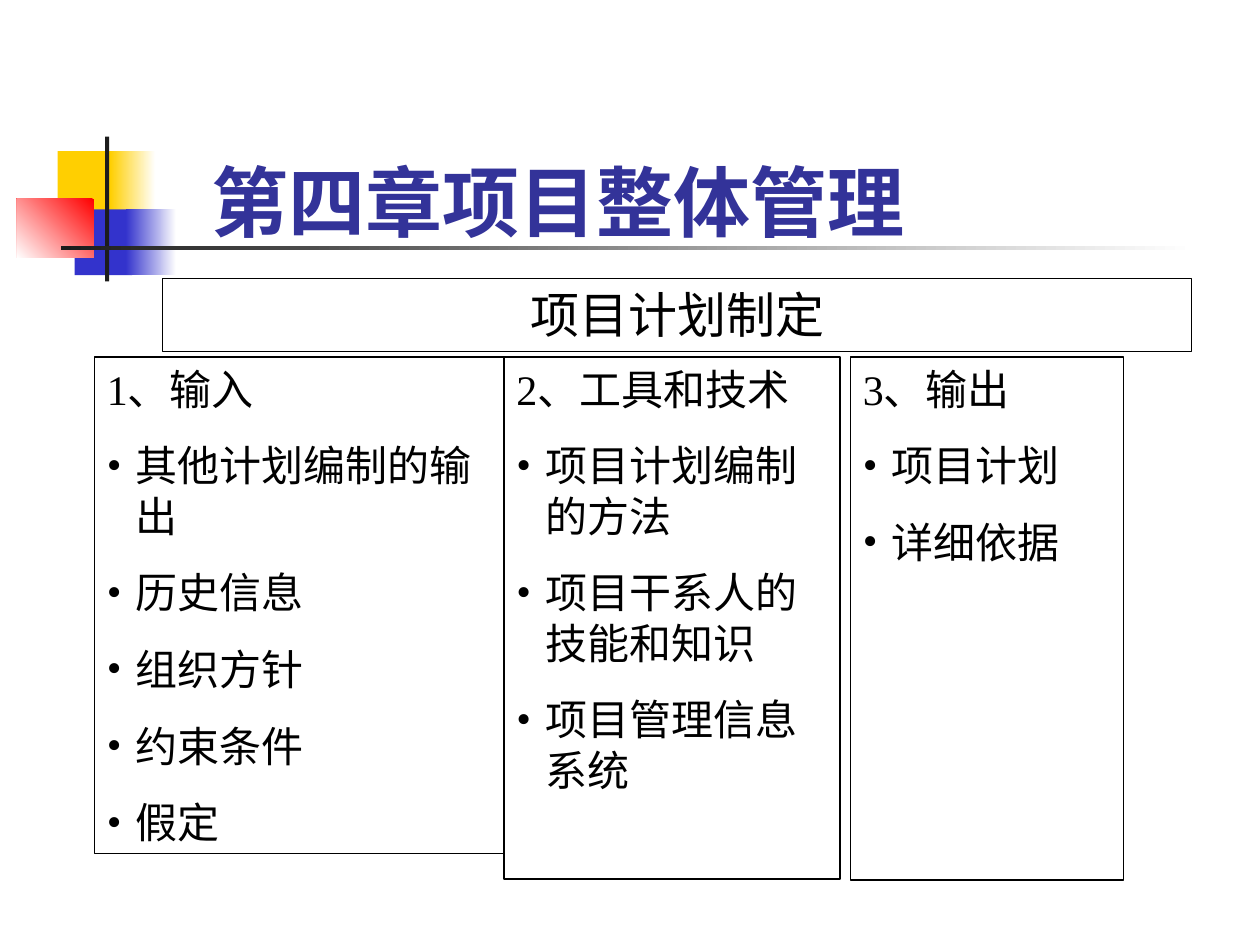
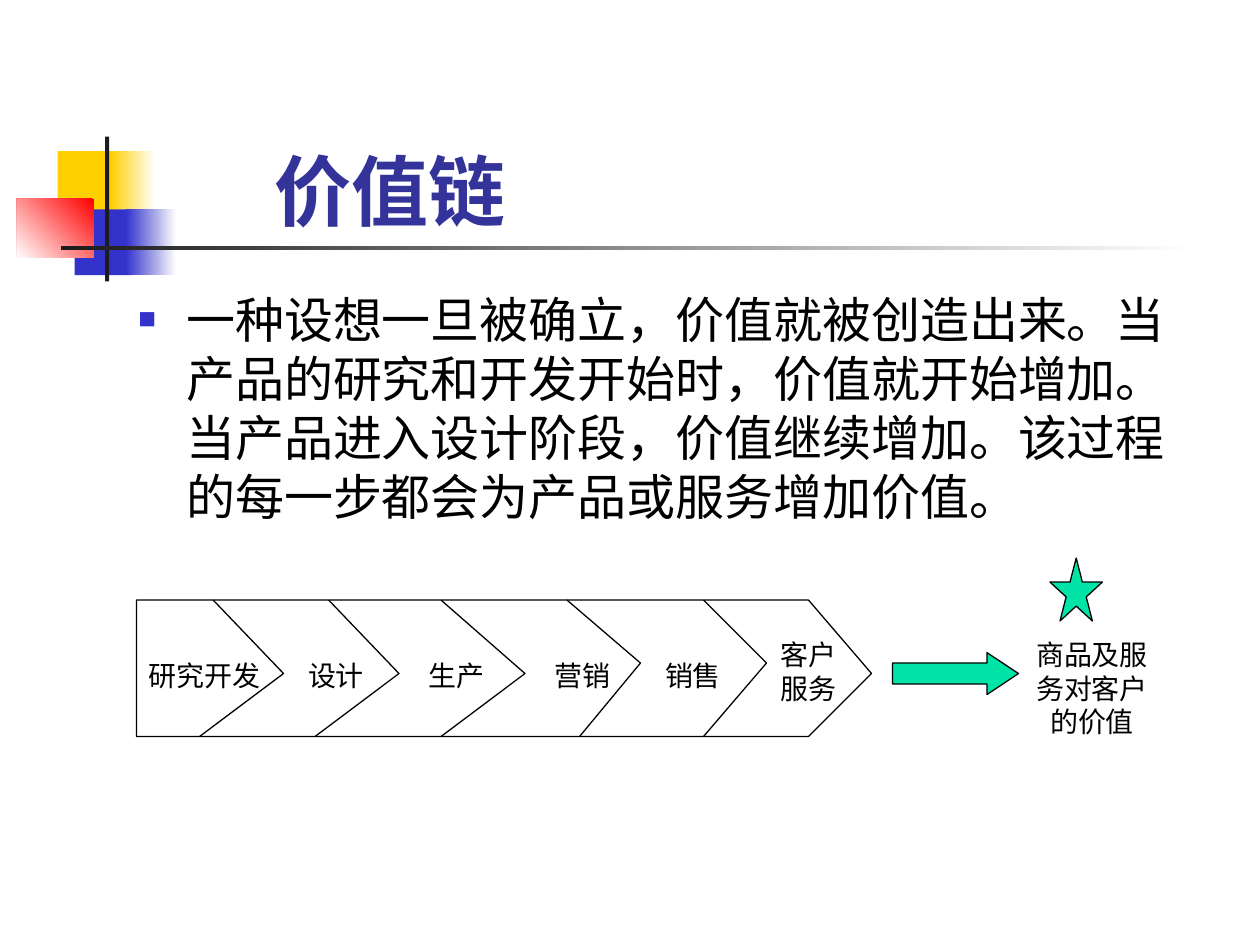
"""Build two slides on project integration management and the value chain."""
from lxml import etree
from pptx import Presentation
from pptx import util as u
from pptx.dml.color import RGBColor
from pptx.enum import lang, shapes, text
from pptx.oxml.ns import qn

C = {"black": "000000", "white": "FFFFFF", "ink": "1C1C1C", "title": "333399",
     "yellow": "FFCF01", "blue": "3333CC", "red": "FF0000", "green": "00E4A8"}
SANS, SERIF = "Roboto", "Times New Roman"
SHAPE = shapes.MSO_SHAPE
LEFT, CENTER = text.PP_ALIGN.LEFT, text.PP_ALIGN.CENTER

prs = Presentation()
prs.slide_width, prs.slide_height = u.Inches(10), u.Inches(7.5)
COL, ROW = prs.slide_width / 120, prs.slide_height / 90


def add_shape(s, kind, x, y, w, h, fill=None, fade=None, angle=0, line=None):
    """Add a preset shape placed in grid columns and rows."""
    sp = s.shapes.add_shape(kind, int(x * COL), int(y * ROW), int(w * COL), int(h * ROW))
    sp.shadow.inherit = False
    if fade:
        sp.fill.gradient()
        sp.fill.gradient_angle = angle
        for stop, name, pos in zip(sp.fill.gradient_stops, (fill, fade), (0, 1)):
            stop.color.rgb = RGBColor.from_string(C[name])
            stop.position = pos
    elif fill:
        sp.fill.solid()
        sp.fill.fore_color.rgb = RGBColor.from_string(C[fill])
    else:
        sp.fill.background()
    if line:
        sp.line.color.rgb = RGBColor.from_string(C["black"])
        sp.line.width = u.Pt(line)
    else:
        sp.line.fill.background()
    return sp


def add_text(s, lines, x, y, w, h, size=16, font=SERIF, color="black", bold=False,
             align=LEFT, anchor=text.MSO_ANCHOR.TOP, line=None, before=0,
             bullet=None, bullet_color="black", bullet_size=100, indent=0, first_bullet=0):
    """Add paragraphs in a box; bullets start at paragraph first_bullet."""
    if line:
        sp = add_shape(s, SHAPE.RECTANGLE, x, y, w, h, line=line)
    else:
        sp = s.shapes.add_textbox(int(x * COL), int(y * ROW), int(w * COL), int(h * ROW))
    tf = sp.text_frame
    tf.word_wrap = True
    tf.vertical_anchor = anchor
    for i, content in enumerate(lines):
        p = tf.paragraphs[0] if i == 0 else tf.add_paragraph()
        p.alignment = align
        if i:
            p.space_before = u.Pt(before)
        if bullet and i >= first_bullet:
            pPr = p._p.get_or_add_pPr()
            pPr.set("marL", str(u.Inches(indent)))
            pPr.set("indent", str(-u.Inches(indent)))
            clr = etree.SubElement(pPr, qn("a:buClr"))
            etree.SubElement(clr, qn("a:srgbClr"), val=C[bullet_color])
            etree.SubElement(pPr, qn("a:buSzPct"), val=str(bullet_size * 1000))
            etree.SubElement(pPr, qn("a:buFont"), typeface=SERIF)
            etree.SubElement(pPr, qn("a:buChar"), char=bullet)
        r = p.add_run()
        r.text = content
        r.font.size, r.font.name, r.font.bold = u.Pt(size), font, bold
        r.font.color.rgb = RGBColor.from_string(C[color])
        r.font.language_id = lang.MSO_LANGUAGE_ID.SIMPLIFIED_CHINESE
    return sp


ornaments = [
    (5.5, 14.4, 5.75, 6.25, "yellow", None, 0),
    (10.5, 14.4, 4.3, 6.25, "yellow", "white", 0),
    (7.1, 19.95, 5.5, 6.25, "blue", None, 0),
    (12, 19.95, 4.8, 6.25, "blue", "white", 0),
    (1.6, 18.95, 7.35, 5.6, "red", "white", 225),
    (10, 13, 0.4, 13.8, "ink", None, 0),
    (5.8, 23.4, 108, 0.4, "ink", "white", 0),
]
titles = [("第四章项目整体管理", 19, 13, 71.9, 11.1), ("价值链", 25, 14, 30.8, 9.1)]
slides = []
for title, *place in titles:
    s = prs.slides.add_slide(prs.slide_layouts[6])
    for x, y, w, h, fill, fade, angle in ornaments:
        add_shape(s, SHAPE.RECTANGLE, x, y, w, h, fill, fade, angle)
    add_text(s, [title], *place, size=44, font=SANS, color="title", bold=True,
             anchor=text.MSO_ANCHOR.BOTTOM)
    slides.append(s)
plan, chain = slides

add_text(plan, ["项目计划制定"], 15.5, 26.5, 98, 7, size=28, font=SANS, align=CENTER, line=0.75)
columns = [
    (9, 39, 47.3, ["1、输入", "其他计划编制的输出", "历史信息", "组织方针", "约束条件", "假定"]),
    (48, 32, 49.7, ["2、工具和技术", "项目计划编制的方法", "项目干系人的技能和知识",
                    "项目管理信息系统"]),
    (81, 26, 49.8, ["3、输出", "项目计划", "详细依据"]),
]
for x, w, h, lines in columns:
    add_text(plan, lines, x, 34, w, h, size=24, line=1, before=15,
             bullet="•", indent=0.23, first_bullet=1)

add_text(chain, ["一种设想一旦被确立，价值就被创造出来。当产品的研究和开发开始时，价值就开始增加。"
                 "当产品进入设计阶段，价值继续增加。该过程的每一步都会为产品或服务增加价值。"],
         12, 27, 102, 54, size=28, font=SANS, bullet="■", bullet_color="blue",
         bullet_size=60, indent=0.38)

TOP, BOTTOM, TIP, HIGH_TIP = 57.15, 70.15, 64.15, 63.15
outlines = [
    ([(77, TOP), (13, TOP), (13, BOTTOM), (77, BOTTOM), (83, TIP)], True),
    ([(20.3, TOP), (27, TIP), (19, BOTTOM)], False),
    ([(31.3, TOP), (38, TIP), (30, BOTTOM)], False),
    ([(42, TOP), (50, TIP), (42, BOTTOM)], False),
    ([(54, TOP), (61, HIGH_TIP), (55.2, BOTTOM)], False),
    ([(67, TOP), (73, HIGH_TIP), (67, BOTTOM)], False),
]
for points, close in outlines:
    emu = [(int(x * COL), int(y * ROW)) for x, y in points]
    fb = chain.shapes.build_freeform(*emu[0])
    fb.add_line_segments(emu[1:], close=close)
    sp = fb.convert_to_shape()
    sp.shadow.inherit = False
    sp.fill.background()
    sp.line.color.rgb = RGBColor.from_string(C["black"])
    sp.line.width = u.Pt(0.75)

labels = [
    ("研究开发", 12, 62.15, 15, 4.4), ("设计", 28, 62.15, 8, 4.4), ("生产", 39, 62.15, 9, 4.4),
    ("营销", 51, 62.15, 9, 4.4), ("销售", 62, 62.15, 8, 4.4), ("客户服务", 73, 60.15, 8, 7.7),
    ("商品及服务对客户的价值", 97, 60.15, 14, 10.8),
]
for label, *place in labels:
    add_text(chain, [label], *place, align=CENTER)

add_shape(chain, SHAPE.STAR_5_POINT, 100, 53.15, 5, 6, "green", line=0.75)
arrow = add_shape(chain, SHAPE.RIGHT_ARROW, 85, 62.15, 12, 4, "green", line=0.75)
arrow.adjustments[1] = 0.75

prs.save("out.pptx")
